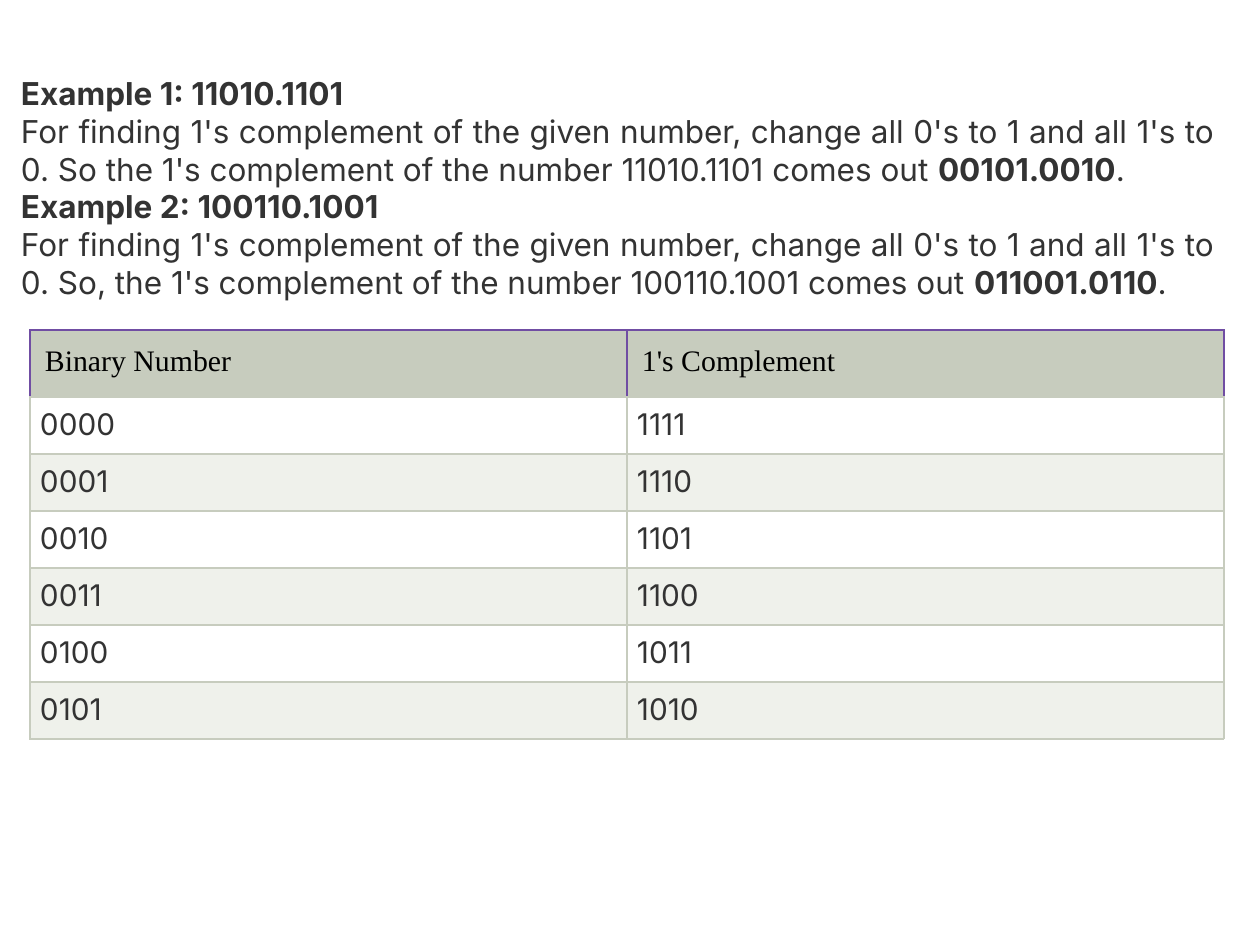
from lxml import etree
from pptx import Presentation
from pptx.dml.color import RGBColor
from pptx.enum.text import MSO_ANCHOR, MSO_AUTO_SIZE, PP_ALIGN
from pptx.oxml.ns import qn
from pptx.util import Pt

JUSTIFY = PP_ALIGN.JUSTIFY
LEFT = PP_ALIGN.LEFT
TOP = MSO_ANCHOR.TOP
NO_AUTOFIT = MSO_AUTO_SIZE.NONE

INK = RGBColor(0x33, 0x33, 0x33)
BLACK = RGBColor(0x00, 0x00, 0x00)
WHITE = RGBColor(0xFF, 0xFF, 0xFF)
SAGE = RGBColor(0xC7, 0xCC, 0xBE)
PALE_SAGE = RGBColor(0xEF, 0xF1, 0xEB)
PURPLE = RGBColor(0x70, 0x4D, 0xA3)

EXAMPLES = [
    [("Example 1: 11010.1101", True)],
    [("For finding 1's complement of the given number, change all 0's to 1 and all 1's to 0. "
      "So the 1's complement of the number 11010.1101 comes out ", False),
     ("00101.0010", True), (".", False)],
    [("Example 2: 100110.1001", True)],
    [("For finding 1's complement of the given number, change all 0's to 1 and all 1's to 0. "
      "So, the 1's complement of the number 100110.1001 comes out ", False),
     ("011001.0110", True), (".", False)],
]
COMPLEMENTS = [
    ("Binary Number", "1's Complement"),
    ("0000", "1111"),
    ("0001", "1110"),
    ("0010", "1101"),
    ("0011", "1100"),
    ("0100", "1011"),
    ("0101", "1010"),
]


def px(length):
    return round(length * 914400 / 126)


class SlideBuilder:
    """Holds the text style and the current slide, and adds its elements."""

    body_font = "Inter"
    header_font = "Times New Roman"
    body_size = Pt(18)
    table_size = Pt(17)

    def __init__(self, slide):
        self.slide = slide

    def run(self, paragraph, text, font, size, color, bold=False):
        run = paragraph.add_run()
        run.text = text
        run.font.name = font
        run.font.size = size
        run.font.color.rgb = color
        run.font.bold = bold

    def body(self, left, top, width, height, paragraphs):
        shape = self.slide.placeholders[1]
        shape.left, shape.top = px(left), px(top)
        shape.width, shape.height = px(width), px(height)
        frame = shape.text_frame
        frame.word_wrap = True
        frame.auto_size = NO_AUTOFIT
        frame.vertical_anchor = TOP
        frame.margin_left = frame.margin_right = frame.margin_top = frame.margin_bottom = 0
        for index, runs in enumerate(paragraphs):
            paragraph = frame.add_paragraph() if index else frame.paragraphs[0]
            properties = paragraph._p.get_or_add_pPr()
            properties.set("marL", "0")
            properties.set("indent", "0")
            etree.SubElement(properties, qn("a:buNone"))
            paragraph.alignment = JUSTIFY
            paragraph.space_before = Pt(0)
            for text, bold in runs:
                self.run(paragraph, text, self.body_font, self.body_size, INK, bold)

    def border(self, cell, side, color):
        line = etree.SubElement(cell._tc.get_or_add_tcPr(), qn(f"a:ln{side}"), w=str(Pt(0.75)))
        fill = etree.SubElement(line, qn("a:solidFill"))
        etree.SubElement(fill, qn("a:srgbClr"), val=str(color))

    def cell(self, cell, text, is_header, fill):
        for side in "LRTB":
            self.border(cell, side, PURPLE if is_header and side != "B" else SAGE)
        cell.fill.solid()
        cell.fill.fore_color.rgb = fill
        margin = px(15 if is_header else 10)
        cell.margin_left = cell.margin_right = cell.margin_top = cell.margin_bottom = margin
        cell.vertical_anchor = TOP
        paragraph = cell.text_frame.paragraphs[0]
        paragraph.alignment = LEFT if is_header else JUSTIFY
        font, color = (self.header_font, BLACK) if is_header else (self.body_font, INK)
        self.run(paragraph, text, font, self.table_size, color)

    def table(self, left, top, column_width, header_height, row_height, rows):
        columns = len(rows[0])
        height = header_height + row_height * (len(rows) - 1)
        table = self.slide.shapes.add_table(
            len(rows), columns, px(left), px(top), px(column_width * columns), px(height)).table
        table.first_row = table.horz_banding = False
        for column in table.columns:
            column.width = px(column_width)
        for row_index, values in enumerate(rows):
            is_header = row_index == 0
            table.rows[row_index].height = px(header_height if is_header else row_height)
            fill = SAGE if is_header else (PALE_SAGE, WHITE)[row_index % 2]
            for column_index, text in enumerate(values):
                self.cell(table.cell(row_index, column_index), text, is_header, fill)


def main():
    presentation = Presentation()
    presentation.slide_width, presentation.slide_height = px(1260), px(945)
    slide = presentation.slides.add_slide(presentation.slide_layouts[1])
    title = slide.shapes.title.element
    title.getparent().remove(title)
    builder = SlideBuilder(slide)
    builder.body(21, 74, 1194, 267, EXAMPLES)
    builder.table(30, 330, 597, 67, 57, COMPLEMENTS)
    presentation.save("out.pptx")


if __name__ == "__main__":
    main()
